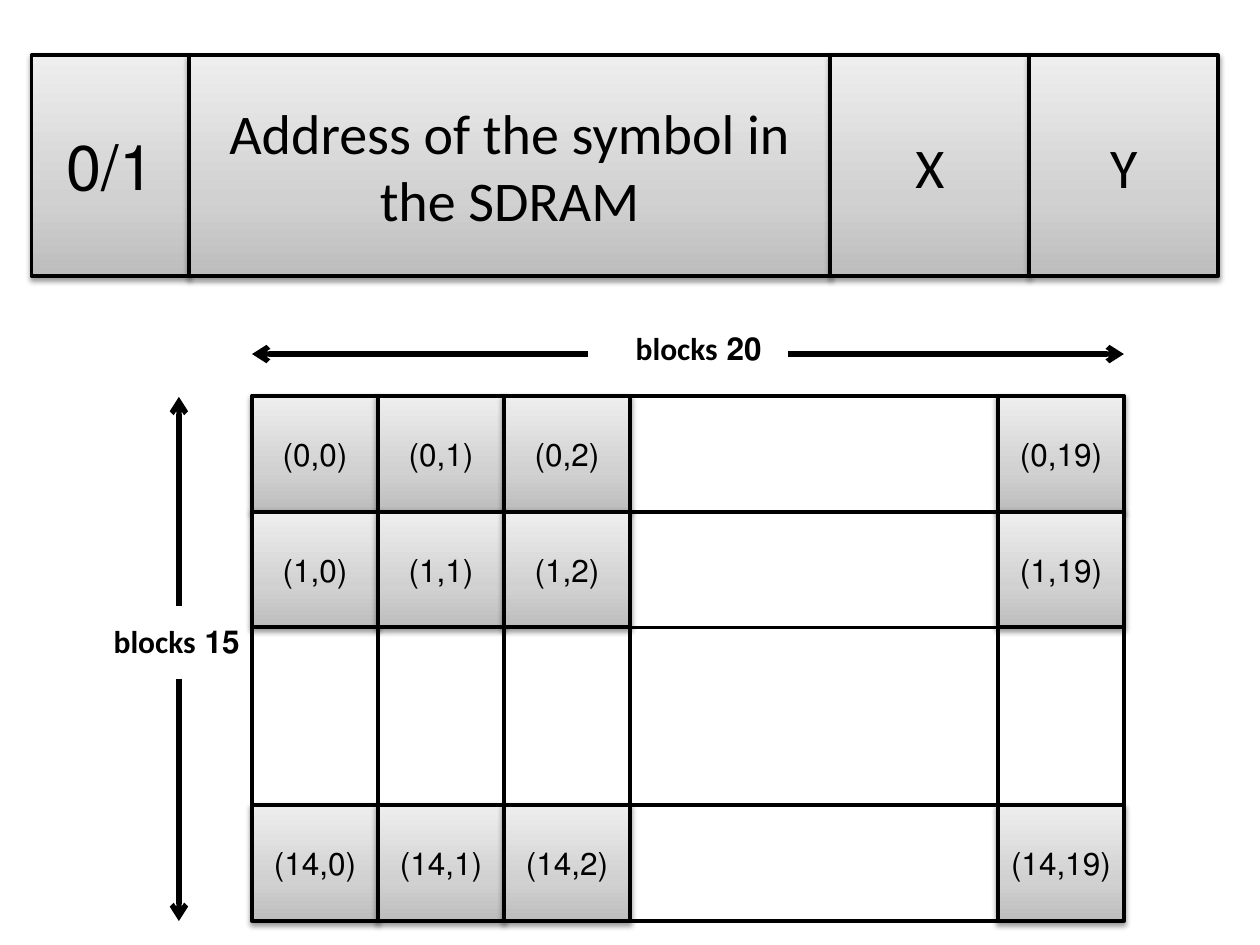
import pptx
import pptx.util
import pptx.dml.color
import pptx.enum.shapes
import pptx.enum.text
import pptx.oxml
import pptx.oxml.ns

Inches = pptx.util.Inches
NS = pptx.oxml.ns.nsdecls("a")
GRAD = (
    f'<a:gradFill {NS} rotWithShape="1"><a:gsLst>'
    + "".join(
        f'<a:gs pos="{pos}000"><a:srgbClr val="{tone}"/></a:gs>'
        for pos, tone in ((0, "BDBDBD"), (35, "D1D1D1"), (100, "EEEEEE"))
    )
    + '</a:gsLst><a:lin ang="16200000" scaled="0"/></a:gradFill>'
)
SHADE = (
    f'<a:effectLst {NS}><a:outerShdw blurRad="39400" dist="20300" dir="5400000" '
    'rotWithShape="0"><a:srgbClr val="000000"><a:alpha val="38000"/></a:srgbClr>'
    "</a:outerShdw></a:effectLst>"
)


def paint(part, tone):
    """Set a font or line colour from a hex string."""
    part.color.rgb = pptx.dml.color.RGBColor.from_string(tone)


def write(shape, text, size, align="CENTER", bold=False):
    """Put right-to-left black text in a shape."""
    frame = shape.text_frame
    frame.word_wrap = True
    frame.text = text
    para = frame.paragraphs[0]
    para.alignment = getattr(pptx.enum.text.PP_ALIGN, align)
    para._p.get_or_add_pPr().set("rtl", "1")
    font = para.runs[0].font
    font.name = "Calibri"
    font.size = pptx.util.Pt(size)
    font.bold = bold
    paint(font, "000000")


deck = pptx.Presentation()
deck.slide_width, deck.slide_height = Inches(10), Inches(7.5)
slide = deck.slides.add_slide(deck.slide_layouts[6])

# Boxes: the grid of blocks, then the fields of the entry
cols = {0: 2, 1: 3, 2: 4, 19: 7.92}
rows = {0: 3.14, 1: 4.06, 14: 6.39}
wide, high = 1, 0.92
boxes = [
    (f"({row},{col})", x, y, wide, high, 18)
    for row, y in rows.items()
    for col, x in cols.items()
]
left = 0.25
for text, width, size in (
    ("0/1", 1.25, 36),
    ("Address of the symbol in the SDRAM", 5.09, 32),
    ("X", 1.58, 32),
    ("Y", 1.5, 32),
):
    boxes.append((text, left, 0.44, width, 1.75, size))
    left += width

for text, x, y, width, height, size in boxes:
    box = slide.shapes.add_shape(
        pptx.enum.shapes.MSO_SHAPE.RECTANGLE,
        Inches(x), Inches(y), Inches(width), Inches(height),
    )
    paint(box.line, "000000")
    box.line.width = pptx.util.Pt(2.25)
    props = box._element.spPr
    props.find(pptx.oxml.ns.qn("a:ln")).addprevious(pptx.oxml.parse_xml(GRAD))
    props.append(pptx.oxml.parse_xml(SHADE))
    box.text_frame.vertical_anchor = pptx.enum.text.MSO_ANCHOR.MIDDLE
    write(box, text, size)

# Grid lines bridge the skipped blocks, from cell centre to cell centre
lines = [
    (cols[2] + wide / 2, y, cols[19] + wide / 2, y, False)
    for y in (3.14, 4.06, 4.98, 6.39, 7.31)
]
lines += [
    (x, rows[1] + high / 2, x, rows[14] + high / 2, False)
    for x in (2, 3, 4, 5, 7.92, 8.92)
]
lines += [
    (6.25, 2.81, 8.92, 2.81, True),
    (4.67, 2.81, 2, 2.81, True),
    (1.42, 4.81, 1.42, 3.15, True),
    (1.42, 5.39, 1.42, 7.31, True),
]
for x1, y1, x2, y2, arrow in lines:
    line = slide.shapes.add_connector(
        pptx.enum.shapes.MSO_CONNECTOR.STRAIGHT,
        Inches(x1), Inches(y1), Inches(x2), Inches(y2),
    )
    paint(line.line, "000000")
    line.line.width = pptx.util.Pt(3 if arrow else 2.25)
    props = line._element.spPr
    if arrow:
        tip = pptx.oxml.parse_xml(f'<a:tailEnd {NS} type="arrow"/>')
        props.find(pptx.oxml.ns.qn("a:ln")).append(tip)
    props.append(pptx.oxml.parse_xml(f"<a:effectLst {NS}/>"))

for text, x, y, align in (
    ("20 blocks", 4.92, 2.56, "CENTER"),
    ("15 blocks", 0.75, 4.89, "RIGHT"),
):
    label = slide.shapes.add_textbox(Inches(x), Inches(y), Inches(1.25), Inches(0.4))
    write(label, text, 18, align, True)

deck.save("out.pptx")
